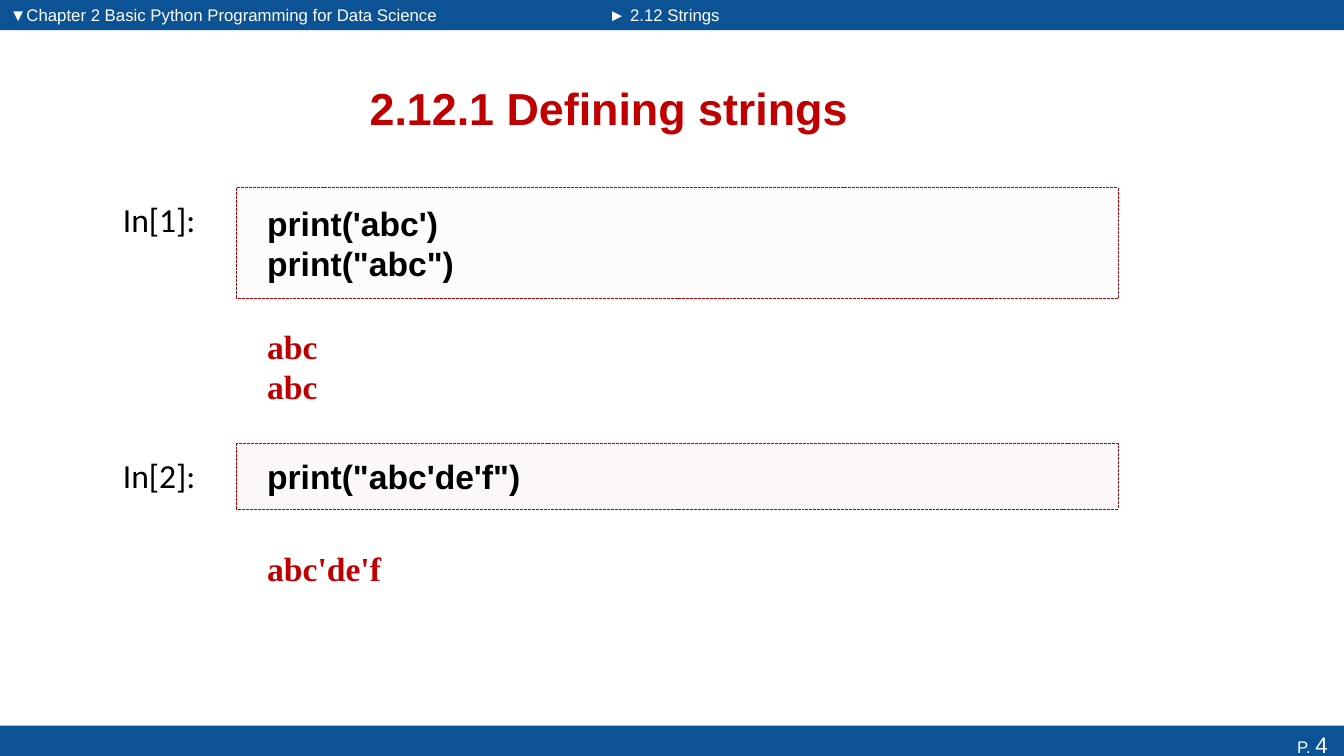
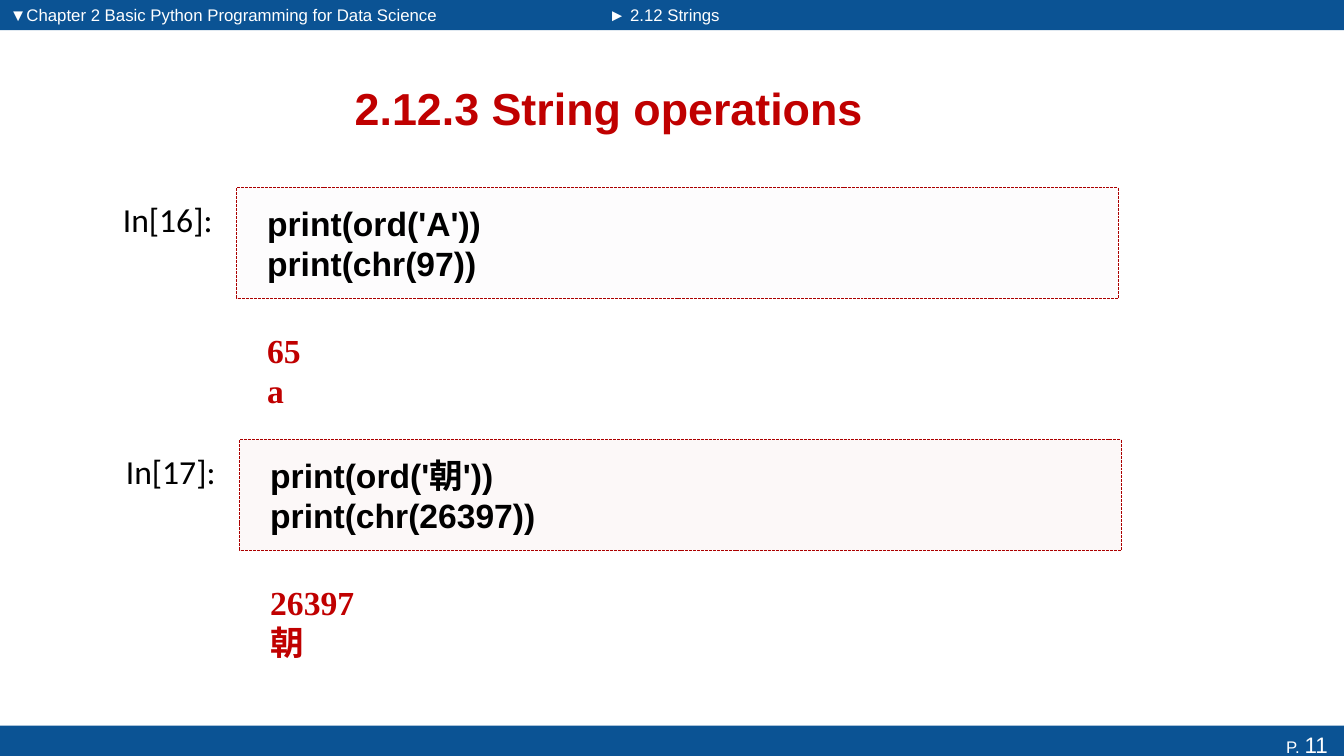
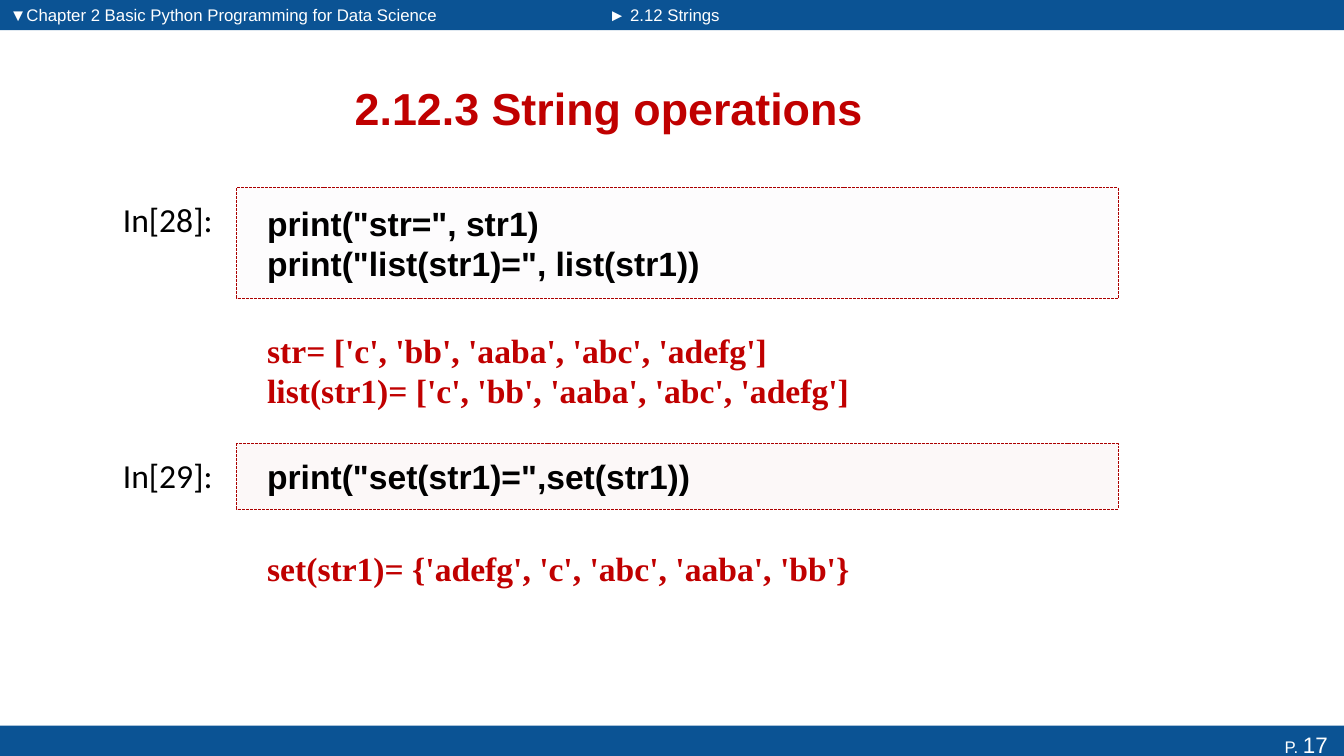
from dataclasses import dataclass

from lxml import etree
from pptx import Presentation
from pptx.dml.color import RGBColor
from pptx.enum import dml, shapes, text
from pptx.oxml.ns import qn
from pptx.util import Inches, Pt

COLOURS = {
    "band": "0B5394",
    "white": "FFFFFF",
    "black": "000000",
    "accent": "C00000",
    "border": "AB0000",
    "grey": "F1EEF4",
    "pink": "EDCDCB",
}
SLIDE_WIDTH, SLIDE_HEIGHT = 13.33, 7.5
CHAPTER = "▼Chapter 2 Basic Python Programming for Data Science"
SECTION = "► 2.12 Strings"

# Cell layout: the number of code lines sets the box height and the gap below it
CELL_LEFT, CELL_WIDTH, LABEL_WIDTH = 2.35, 8.74, 1.23
CELL_HEIGHT = {1: 0.65, 2: 1.1}
OUTPUT_GAP = {1: 0.26, 2: 0.16}
CELL_INSETS = (0.3, 0.05, 0.1, 0.05)
FIRST_TOP, SECOND_TOP = 1.86, 4.4


@dataclass
class Style:
    size: int
    font: str
    colour: str
    bold: bool = False


TITLE = Style(32, "Arial", "accent", True)
BAND = Style(12, "Arial", "white")
NUMBER = Style(16, "Arial", "white")
LABEL = Style(24, "Calibri", "black")
CODE = Style(24, "Arial", "black", True)
OUTPUT = Style(24, "Times New Roman", "accent", True)


@dataclass
class Cell:
    number: int
    code: list
    output: list
    fill: str = "grey"
    top: float = FIRST_TOP
    left: float = CELL_LEFT
    output_height: float = 0


def colour(name):
    return RGBColor.from_string(COLOURS[name])


# Text
def add_span(para, words, style):
    span = para.add_run()
    span.text = words
    span.font.size = Pt(style.size)
    span.font.name = style.font
    span.font.bold = style.bold
    span.font.color.rgb = colour(style.colour)


def write_lines(box, lines, style, anchor=text.MSO_ANCHOR.TOP,
                align=text.PP_ALIGN.LEFT, insets=(0.1, 0.05, 0.1, 0.05)):
    frame = box.text_frame
    frame.word_wrap = True
    frame.vertical_anchor = anchor
    (frame.margin_left, frame.margin_top,
     frame.margin_right, frame.margin_bottom) = map(Inches, insets)
    for index, line in enumerate(lines):
        para = frame.add_paragraph() if index else frame.paragraphs[0]
        para.alignment = align
        add_span(para, line, style)


def add_text(parent, place, lines, style, **layout):
    box = parent.shapes.add_textbox(*map(Inches, place))
    write_lines(box, lines, style, **layout)
    return box


# Rectangles
def add_rectangle(parent, place, fill):
    box = parent.shapes.add_shape(shapes.MSO_SHAPE.RECTANGLE, *map(Inches, place))
    box.shadow.inherit = False
    box.fill.solid()
    box.fill.fore_color.rgb = colour(fill)
    box.line.fill.background()
    return box


def set_opacity(box, percent):
    tint = box.fill._xPr.find(qn("a:solidFill"))[0]
    etree.SubElement(tint, qn("a:alpha")).set("val", str(percent * 1000))


# Bands, title and page number
def add_frame(page, title, number):
    add_rectangle(page, (0, 0, 5.93, 0.3), "band")
    footer = add_rectangle(page, (0, 7.2, SLIDE_WIDTH, 0.37), "band")
    write_lines(footer, ["P. "], BAND, align=text.PP_ALIGN.RIGHT)
    add_span(footer.text_frame.paragraphs[0], f"{number} ", NUMBER)
    add_rectangle(page, (5.93, 0, 7.4, 0.3), "band")
    add_text(page, (0.68, 0.62, 10.72, 0.9), [title], TITLE,
             anchor=text.MSO_ANCHOR.MIDDLE, align=text.PP_ALIGN.CENTER)
    add_text(page, (0, 0, 4.83, 0.29), [CHAPTER], BAND)
    add_text(page, (5.94, 0, 2.38, 0.29), [SECTION], BAND)


# Notebook cell: label, code box and printed output
def add_cell(page, cell):
    group = page.shapes.add_group_shape()
    layout = {"anchor": text.MSO_ANCHOR.MIDDLE, "insets": CELL_INSETS}
    height = CELL_HEIGHT[len(cell.code)]

    label_place = (cell.left - LABEL_WIDTH, cell.top + 0.06, LABEL_WIDTH, 0.5)
    add_text(group, label_place, [f"In[{cell.number}]:"], LABEL)

    box = add_rectangle(group, (cell.left, cell.top, CELL_WIDTH, height), cell.fill)
    set_opacity(box, 13)
    box.line.color.rgb = colour("border")
    box.line.width = Pt(0.7)
    box.line.dash_style = dml.MSO_LINE.SQUARE_DOT
    write_lines(box, cell.code, CODE, **layout)

    output_top = cell.top + height + OUTPUT_GAP[len(cell.code)]
    output_height = cell.output_height or CELL_HEIGHT[len(cell.output)]
    add_text(group, (cell.left, output_top, CELL_WIDTH, output_height),
             cell.output, OUTPUT, **layout)


PAGES = [
    ("2.12.1 Defining strings", 4, [
        Cell(1, ["print('abc')", 'print("abc")'], ["abc", "abc"], output_height=1.02),
        Cell(2, ['print("abc\'de\'f")'], ["abc'de'f"], "pink", SECOND_TOP),
    ]),
    ("2.12.3 String operations", 11, [
        Cell(16, ["print(ord('A'))", "print(chr(97))"], ["65", "a"]),
        Cell(17, ["print(ord('朝'))", "print(chr(26397))"], ["26397", "朝"],
             "pink", 4.36, 2.38),
    ]),
    ("2.12.3 String operations", 17, [
        Cell(28, ['print("str=", str1)', 'print("list(str1)=", list(str1))'],
             ["str= ['c', 'bb', 'aaba', 'abc', 'adefg']",
              "list(str1)= ['c', 'bb', 'aaba', 'abc', 'adefg']"]),
        Cell(29, ['print("set(str1)=",set(str1))'],
             ["set(str1)= {'adefg', 'c', 'abc', 'aaba', 'bb'}"], "pink", SECOND_TOP),
    ]),
]


def main():
    deck = Presentation()
    deck.slide_width = Inches(SLIDE_WIDTH)
    deck.slide_height = Inches(SLIDE_HEIGHT)
    for title, number, cells in PAGES:
        page = deck.slides.add_slide(deck.slide_layouts[6])
        add_frame(page, title, number)
        for cell in cells:
            add_cell(page, cell)
    deck.save("out.pptx")


if __name__ == "__main__":
    main()
